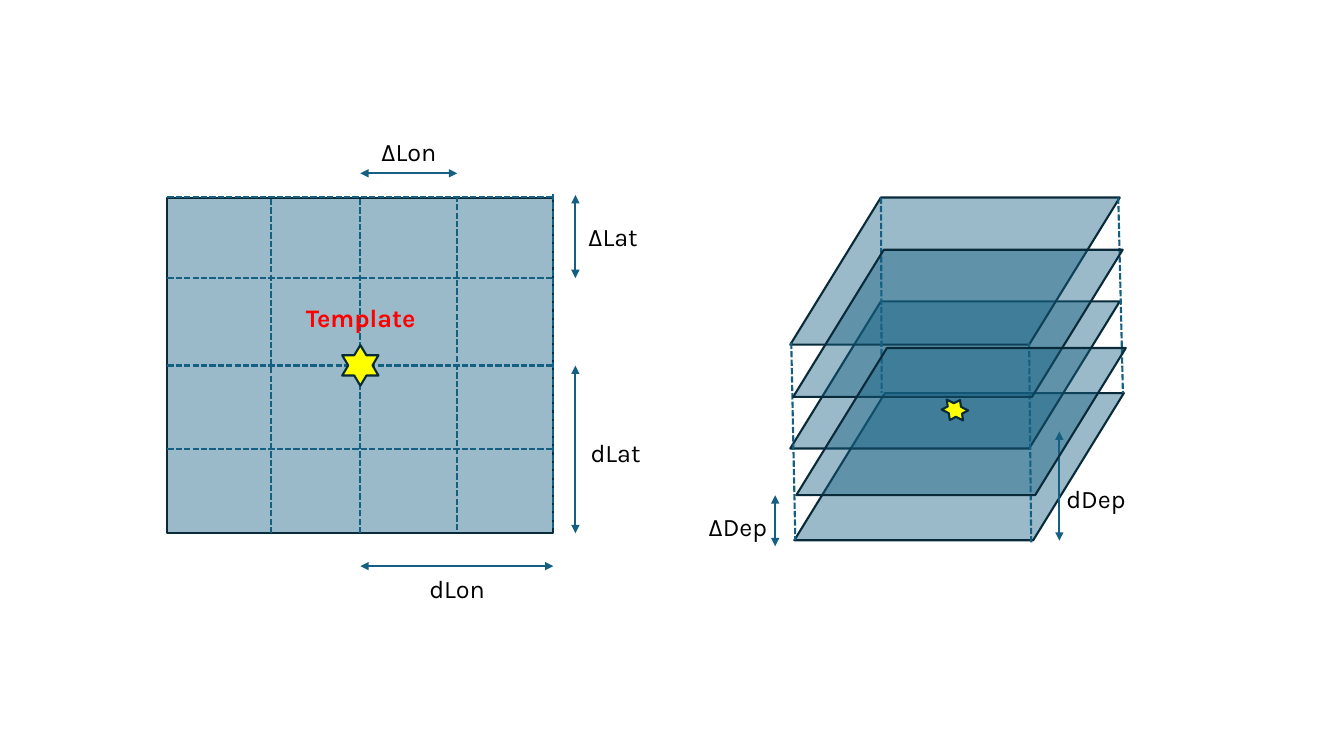
"""Draw the template search grid in map view and in stacked depth layers."""
import dataclasses

import lxml.etree
import pptx
import pptx.dml.color
import pptx.enum.dml
import pptx.enum.shapes
import pptx.enum.text
import pptx.oxml.ns
import pptx.shapes.autoshape
import pptx.shapes.connector
import pptx.slide
import pptx.util

Pt = pptx.util.Pt
RGBColor = pptx.dml.color.RGBColor
SHAPES = pptx.enum.shapes.MSO_SHAPE

TEAL = RGBColor(0x15, 0x60, 0x82)
DARK_TEAL = RGBColor(0x09, 0x2A, 0x39)
YELLOW = RGBColor(0xFF, 0xFF, 0x00)
RED = RGBColor(0xFF, 0x00, 0x00)
BLACK = RGBColor(0x00, 0x00, 0x00)

FONT = "Karla"
LINE_WIDTH = 1.5
OPACITY = 43
LAYER_WIDTH, LAYER_HEIGHT, LAYER_SLANT = 235.4, 105.1, 0.616
LABEL_HEIGHT = 29

MAP_LEFT, MAP_TOP, MAP_WIDTH, MAP_HEIGHT = 119.5, 141.3, 275.8, 239.6
MAP_RIGHT, MAP_BOTTOM = MAP_LEFT + MAP_WIDTH, MAP_TOP + MAP_HEIGHT
CENTER_X, CENTER_Y = MAP_LEFT + MAP_WIDTH / 2, MAP_TOP + MAP_HEIGHT / 2


@dataclasses.dataclass(frozen=True)
class Area:
    kind: SHAPES
    left: float
    top: float
    width: float
    height: float
    fill: RGBColor = TEAL
    opacity: int = OPACITY
    rotation: float = 0


@dataclasses.dataclass(frozen=True)
class Segment:
    x1: float
    y1: float
    x2: float
    y2: float


@dataclasses.dataclass(frozen=True)
class Label:
    text: str
    left: float
    top: float
    width: float = 82
    color: RGBColor = BLACK
    bold: bool = False


def layer(left: float, top: float) -> Area:
    return Area(SHAPES.PARALLELOGRAM, left, top, LAYER_WIDTH, LAYER_HEIGHT)


MAP = Area(SHAPES.RECTANGLE, MAP_LEFT, MAP_TOP, MAP_WIDTH, MAP_HEIGHT)
MAP_STAR = Area(SHAPES.STAR_6_POINT, CENTER_X - 13, CENTER_Y - 14.6, 26, 29, YELLOW, 100)
DEPTH_STAR = Area(SHAPES.STAR_6_POINT, 673.5, 284.9, 17.2, 16, YELLOW, 100, 26.9)
BACK_LAYERS = [layer(567.4, 280.8), layer(564.5, 215.3), layer(564.5, 141.1)]
FRONT_LAYERS = [layer(566.6, 178.4), layer(568.8, 248.6)]

GRID_ROWS = [Segment(MAP_LEFT, y, MAP_RIGHT, y) for y in (140.8, 198.6, 320.8)]
GRID_COLUMNS = [
    Segment(193.5, MAP_BOTTOM, 193.5, MAP_TOP),
    Segment(326.6, 378.7, 326.6, 139.7),
    Segment(MAP_RIGHT, 377.3, MAP_RIGHT, 137.5),
]
STACK_EDGES = [
    Segment(565.2, 244.8, 568.1, 385.9),
    Segment(735.1, 244.8, 736.6, 387.4),
    Segment(798.8, 141.1, 802.1, 280.8),
    Segment(629.3, 141.1, 629.8, 280.8),
]
ARROWS = [
    Segment(CENTER_X, 404.4, MAP_RIGHT, 404.4),
    Segment(411, CENTER_Y, 411, MAP_BOTTOM),
    Segment(CENTER_X, 123.8, 326.6, 123.8),
    Segment(411, 139.3, 411, 198.6),
    Segment(756.7, 308.2, 756.7, 386.2),
    Segment(553.7, 353.8, 553.7, 390.2),
]
LABELS = [
    Label("Template", 202.1, 212.7, 111, RED, True),
    Label("dLon", 285.5, 405.7),
    Label("dLat", 398.7, 308.5),
    Label("ΔLon", 251, 94),
    Label("ΔLat", 396.8, 154.8),
    Label("dDep", 741.8, 342),
    Label("ΔDep", 486, 361.8),
]


def add_area(slide: pptx.slide.Slide, area: Area) -> pptx.shapes.autoshape.Shape:
    shape = slide.shapes.add_shape(
        area.kind, Pt(area.left), Pt(area.top), Pt(area.width), Pt(area.height)
    )
    shape.shadow.inherit = False
    shape.rotation = area.rotation
    shape.fill.solid()
    shape.fill.fore_color.rgb = area.fill
    shape.line.color.rgb = DARK_TEAL
    shape.line.width = Pt(LINE_WIDTH)
    if area.kind == SHAPES.PARALLELOGRAM:
        shape.adjustments[0] = LAYER_SLANT
    if area.opacity < 100:
        color = shape._element.spPr.find(pptx.oxml.ns.qn("a:solidFill"))[0]
        alpha = lxml.etree.SubElement(color, pptx.oxml.ns.qn("a:alpha"))
        alpha.set("val", str(area.opacity * 1000))
    return shape


def add_line(slide: pptx.slide.Slide, segment: Segment) -> pptx.shapes.connector.Connector:
    connector = slide.shapes.add_connector(
        pptx.enum.shapes.MSO_CONNECTOR.STRAIGHT,
        Pt(segment.x1), Pt(segment.y1), Pt(segment.x2), Pt(segment.y2),
    )
    connector.line.color.rgb = TEAL
    connector.line.width = Pt(LINE_WIDTH)
    lxml.etree.SubElement(connector._element.spPr, pptx.oxml.ns.qn("a:effectLst"))
    return connector


def add_dashed_line(slide: pptx.slide.Slide, segment: Segment) -> pptx.shapes.connector.Connector:
    connector = add_line(slide, segment)
    connector.line.dash_style = pptx.enum.dml.MSO_LINE.SQUARE_DOT
    return connector


def add_arrow(slide: pptx.slide.Slide, segment: Segment) -> None:
    outline = add_line(slide, segment)._element.spPr.find(pptx.oxml.ns.qn("a:ln"))
    for end in ("a:headEnd", "a:tailEnd"):
        lxml.etree.SubElement(outline, pptx.oxml.ns.qn(end)).set("type", "triangle")


def add_label(slide: pptx.slide.Slide, label: Label) -> None:
    box = slide.shapes.add_textbox(
        Pt(label.left), Pt(label.top), Pt(label.width), Pt(LABEL_HEIGHT)
    )
    box.text_frame.word_wrap = True
    box.text_frame.auto_size = pptx.enum.text.MSO_AUTO_SIZE.SHAPE_TO_FIT_TEXT
    paragraph = box.text_frame.paragraphs[0]
    paragraph.alignment = pptx.enum.text.PP_ALIGN.CENTER
    run = paragraph.add_run()
    run.text = label.text
    run.font.name = FONT
    run.font.size = Pt(18)
    run.font.bold = label.bold
    run.font.color.rgb = label.color


def add_center_lines(slide: pptx.slide.Slide, map_shape: pptx.shapes.autoshape.Shape) -> None:
    for begin_side, end_side in ((1, 3), (2, 0)):
        connector = add_dashed_line(slide, Segment(CENTER_X, CENTER_Y, CENTER_X, CENTER_Y))
        connector.begin_connect(map_shape, begin_side)
        connector.end_connect(map_shape, end_side)


def main() -> None:
    presentation = pptx.Presentation()
    presentation.slide_width = Pt(960)
    presentation.slide_height = Pt(540)
    slide = presentation.slides.add_slide(presentation.slide_layouts[6])

    map_shape = add_area(slide, MAP)
    for area in BACK_LAYERS:
        add_area(slide, area)
    add_center_lines(slide, map_shape)
    for segment in GRID_ROWS + GRID_COLUMNS + STACK_EDGES:
        add_dashed_line(slide, segment)
    add_area(slide, MAP_STAR)
    for segment in ARROWS:
        add_arrow(slide, segment)
    for label in LABELS:
        add_label(slide, label)
    for area in FRONT_LAYERS + [DEPTH_STAR]:
        add_area(slide, area)

    presentation.save("out.pptx")


if __name__ == "__main__":
    main()
